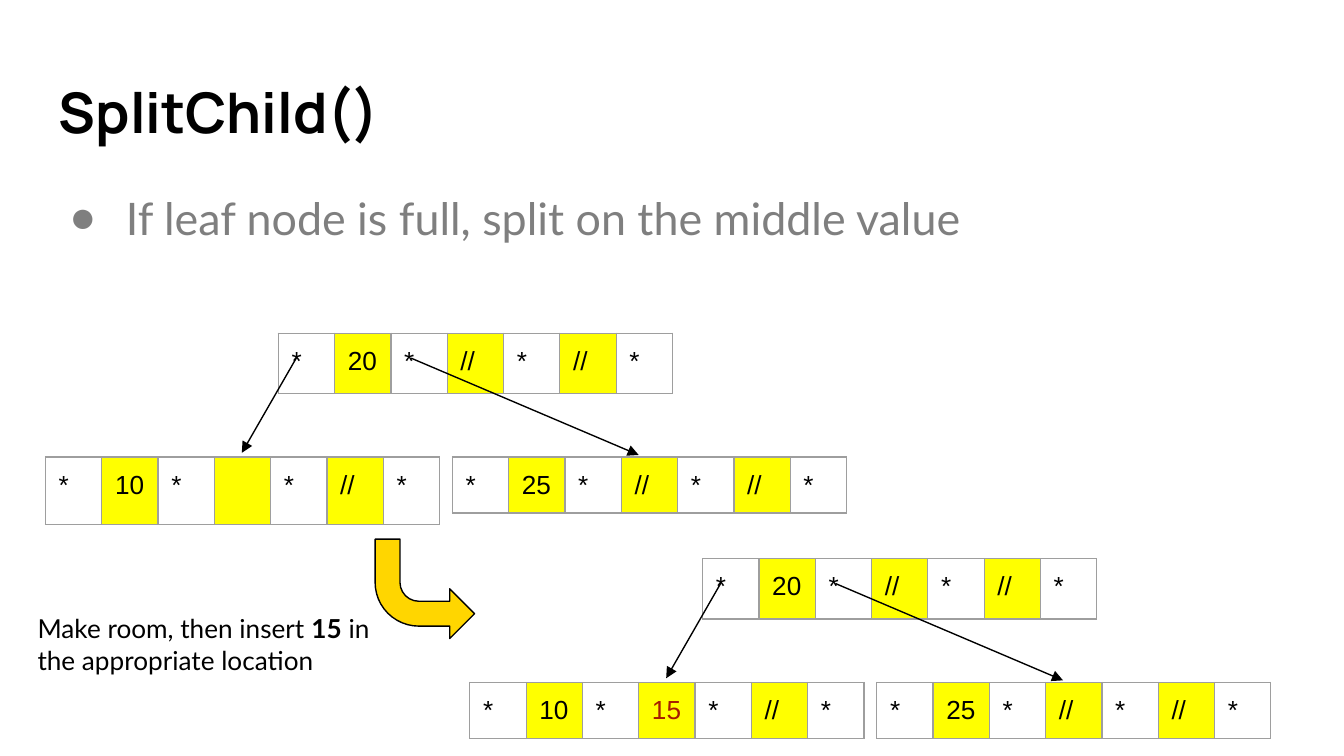
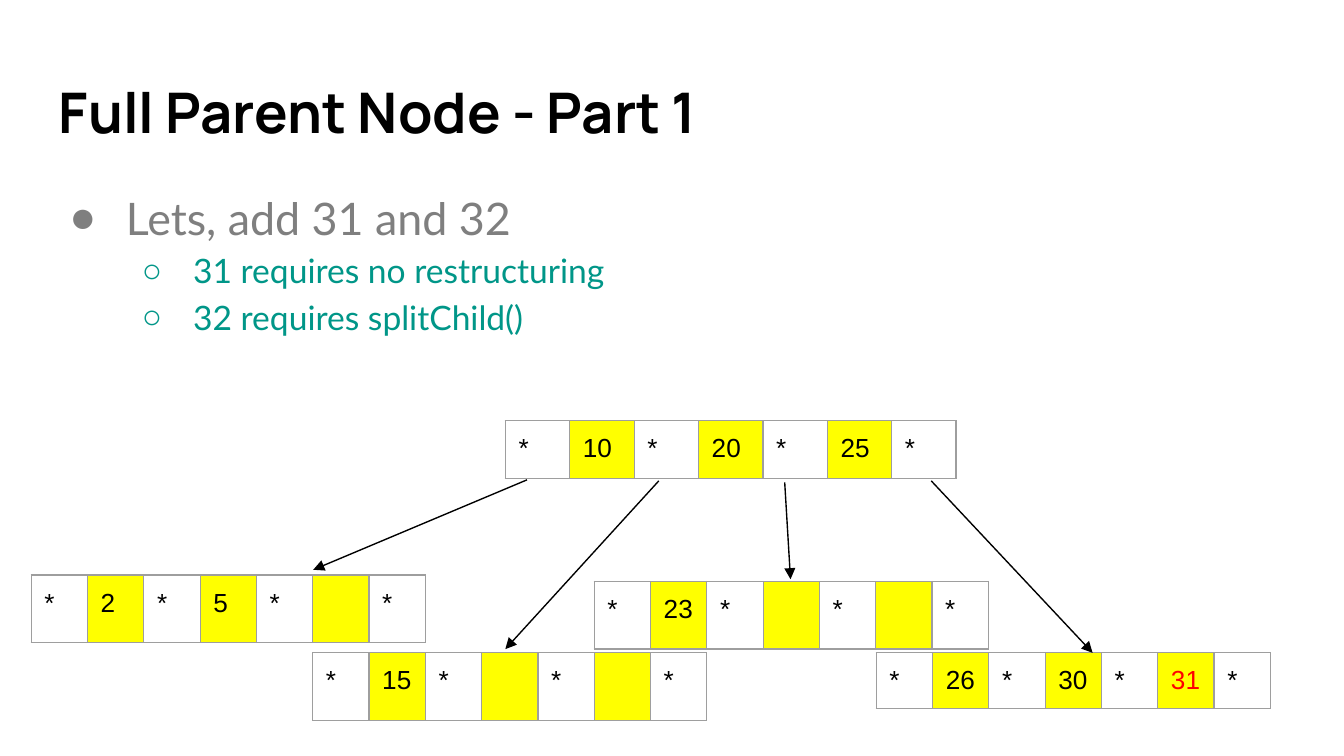
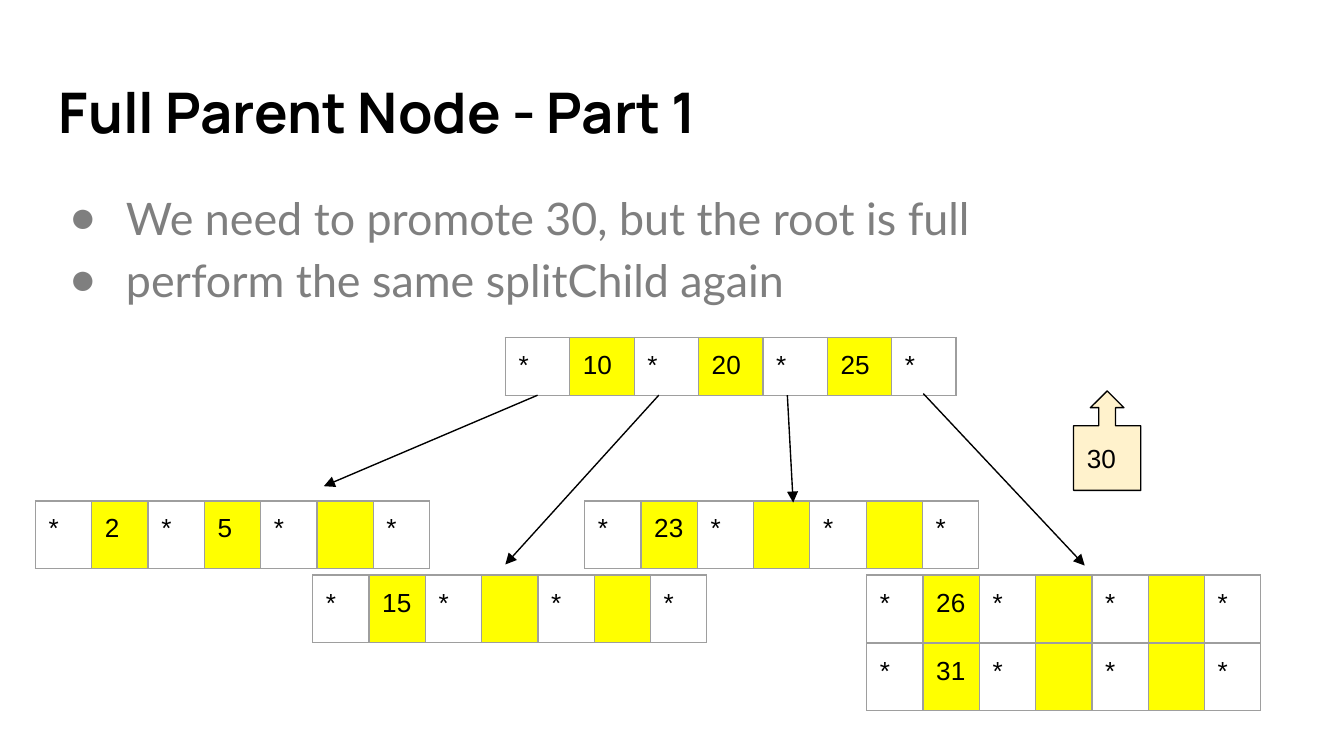
from lxml.etree import SubElement
from pptx import Presentation
from pptx.dml.color import RGBColor
from pptx.enum.shapes import MSO_CONNECTOR, MSO_SHAPE
from pptx.enum.text import MSO_ANCHOR, PP_ALIGN
from pptx.oxml.ns import qn
from pptx.util import Cm, Pt

BLACK = RGBColor(0x00, 0x00, 0x00)
GREY = RGBColor(0x7F, 0x7F, 0x7F)
TEAL = RGBColor(0x00, 0x96, 0x88)
BORDER = RGBColor(0x9E, 0x9E, 0x9E)
YELLOW = RGBColor(0xFF, 0xFF, 0x00)
GOLD = RGBColor(0xFF, 0xD6, 0x00)
CREAM = RGBColor(0xFF, 0xF2, 0xCC)
DARK_RED = RGBColor(0xA6, 0x1C, 0x00)
RED = RGBColor(0xFF, 0x00, 0x00)

TITLE_FONT = {"name": "Manrope", "size": Pt(30), "bold": True}
KEY_FONT = {"name": "Arial", "size": Pt(14), "bold": False}
NOTE_FONT = {"name": "Lato", "size": Pt(14)}
INSETS = {f"margin_{side}": Cm(0.25) for side in ("left", "right", "top", "bottom")}
THIN = Pt(0.75)

# Bullet, left margin, hanging indent, size and colour for each list level
LEVELS = [
    ("●", Cm(1.27), Cm(-1.07), Pt(24), GREY),
    ("○", Cm(2.54), Cm(-0.97), Pt(18), TEAL),
]
NODE_WIDTH = 7.45
LEAF_HEIGHT = 0.8
FULL_ROOT = ["10", "20", "25"]
FULL_ROOT_LEFT = 9.55
FULL_ROOT_WIDTH = 8.52


def set_format(target, values):
    for name, value in values.items():
        setattr(target, name, value)


def add_span(para, text, font, color=BLACK):
    span = para.add_run()
    span.text = text
    set_format(span.font, font)
    span.font.color.rgb = color
    return span


def place(box, left, top, width, height):
    set_format(box, {"left": Cm(left), "top": Cm(top),
                     "width": Cm(width), "height": Cm(height)})


def add_bullet(para, text, level):
    mark, margin, indent, size, color = LEVELS[level]
    set_format(para, {"level": level, "line_spacing": 1.15, "space_before": Pt(0),
                      "alignment": PP_ALIGN.LEFT})
    properties = para._p.get_or_add_pPr()
    properties.set("marL", str(margin))
    properties.set("indent", str(indent))
    bullet_color = SubElement(properties, qn("a:buClr"))
    SubElement(bullet_color, qn("a:srgbClr")).set("val", str(color))
    SubElement(properties, qn("a:buChar")).set("char", mark)
    add_span(para, text, {"name": "Lato", "size": size}, color)


def add_page(deck, title, bullets):
    """Add a slide with its title and a list of (text, level) bullets."""
    page = deck.slides.add_slide(deck.slide_layouts[1])
    heading, body = page.placeholders[0], page.placeholders[1]
    place(heading, 0.86, 1.24, 23.67, 1.73)
    place(body, 0.86, 3.2, 23.67, 4.52)
    for box, anchor in ((heading, MSO_ANCHOR.MIDDLE), (body, MSO_ANCHOR.TOP)):
        set_format(box.text_frame,
                   {**INSETS, "word_wrap": True, "vertical_anchor": anchor})
    title_para = heading.text_frame.paragraphs[0]
    title_para.alignment = PP_ALIGN.LEFT
    add_span(title_para, title, TITLE_FONT)
    frame = body.text_frame
    for index, (text, level) in enumerate(bullets):
        add_bullet(frame.add_paragraph() if index else frame.paragraphs[0], text, level)
    return page


def add_borders(cell):
    properties = cell._tc.get_or_add_tcPr()
    for side in ("lnL", "lnR", "lnT", "lnB"):
        line = SubElement(properties, qn(f"a:{side}"))
        line.set("w", str(THIN))
        fill = SubElement(line, qn("a:solidFill"))
        SubElement(fill, qn("a:srgbClr")).set("val", str(BORDER))


def add_node(page, left, top, keys, width=NODE_WIDTH, height=LEAF_HEIGHT, marked=None):
    """Draw a B-tree node: keys between child pointers; marked maps keys to colours."""
    entries = ["*"]
    for key in keys:
        entries += [key, "*"]
    table = page.shapes.add_table(1, len(entries), Cm(left), Cm(top),
                                  Cm(width), Cm(height)).table
    set_format(table, {"first_row": False, "horz_banding": False})
    for index, entry in enumerate(entries):
        table.columns[index].width = Cm(width / len(entries))
        cell = table.cell(0, index)
        set_format(cell, INSETS)
        add_borders(cell)
        if index % 2:
            cell.fill.solid()
            cell.fill.fore_color.rgb = YELLOW
        else:
            cell.fill.background()
        if entry:
            add_span(cell.text_frame.paragraphs[0], entry, KEY_FONT,
                     (marked or {}).get(entry, BLACK))


def add_arrow(page, start, end):
    arrow = page.shapes.add_connector(MSO_CONNECTOR.STRAIGHT,
                                      *(Cm(value) for value in (*start, *end)))
    arrow.line.color.rgb = BLACK
    arrow.line.width = THIN
    properties = arrow.element.spPr
    SubElement(properties.find(qn("a:ln")), qn("a:tailEnd")).set("type", "triangle")
    SubElement(properties, qn("a:effectLst"))


def add_outlined_shape(page, kind, area, fill, adjustments):
    shape = page.shapes.add_shape(kind, *(Cm(value) for value in area))
    shape.shadow.inherit = False
    shape.fill.solid()
    shape.fill.fore_color.rgb = fill
    shape.line.color.rgb = BLACK
    shape.line.width = THIN
    for index, value in enumerate(adjustments):
        shape.adjustments[index] = value
    return shape


def add_split_tree(page, left, top, second_key):
    """Draw a root with key 20 over its two leaves."""
    add_node(page, left + 4.4, top, ["20", "//", "//"], height=1.14)
    add_node(page, left, top + 2.34, ["10", second_key, "//"], marked={"15": DARK_RED})
    add_node(page, left + 7.69, top + 2.34, ["25", "//", "//"])
    add_arrow(page, (left + 4.75, top + 0.45), (left + 3.71, top + 2.26))
    add_arrow(page, (left + 6.91, top + 0.47), (left + 11.21, top + 2.3))


def add_full_tree(page, root_top, leaves, arrows, marked=None):
    add_node(page, FULL_ROOT_LEFT, root_top, FULL_ROOT, FULL_ROOT_WIDTH, 1.09)
    for left, top, keys in leaves:
        add_node(page, left, top, keys, marked=marked)
    for start, end in arrows:
        add_arrow(page, start, end)


def add_insert_note(page):
    box = page.shapes.add_textbox(Cm(0.46), Cm(11.33), Cm(7.01), Cm(1.57))
    set_format(box.text_frame, {**INSETS, "word_wrap": True})
    para = box.text_frame.paragraphs[0]
    add_span(para, "Make room, then insert ", NOTE_FONT)
    add_span(para, "15", {**NOTE_FONT, "bold": True})
    add_span(para, " in the appropriate location", NOTE_FONT)


def add_turn_arrow(page):
    arrow = add_outlined_shape(page, MSO_SHAPE.BENT_ARROW, (7.09, 10.19, 1.88, 1.88),
                               GOLD, (0.25, 0.25, 0.25, 0.44))
    arrow.rotation = 180
    arrow.element.spPr.get_or_add_xfrm().set("flipH", "1")


def add_promoted_key(page, key):
    callout = add_outlined_shape(page, MSO_SHAPE.UP_ARROW_CALLOUT,
                                 (20.29, 7.39, 1.27, 1.88), CREAM,
                                 (0.25, 0.25, 0.25, 0.65))
    set_format(callout.text_frame, {**INSETS, "vertical_anchor": MSO_ANCHOR.MIDDLE})
    para = callout.text_frame.paragraphs[0]
    para.alignment = PP_ALIGN.LEFT
    add_span(para, key, KEY_FONT)


def main():
    deck = Presentation()
    set_format(deck, {"slide_width": Cm(25.4), "slide_height": Cm(14.29)})

    page = add_page(deck, "SplitChild()",
                    [("If leaf node is full, split on the middle value", 0)])
    add_split_tree(page, 0.86, 6.3, "")
    add_split_tree(page, 8.88, 10.56, "15")
    add_insert_note(page)
    add_turn_arrow(page)

    page = add_page(deck, "Full Parent Node - Part 1",
                    [("Lets, add 31 and 32", 0),
                     ("31 requires no restructuring", 1),
                     ("32 requires splitChild()", 1)])
    add_full_tree(
        page, 7.95,
        [(0.59, 10.87, ["2", "5", ""]),
         (5.91, 12.34, ["15", "", ""]),
         (11.23, 10.99, ["23", "", ""]),
         (16.56, 12.34, ["26", "30", "31"])],
        [((9.96, 9.07), (5.92, 10.77)),
         ((12.45, 9.09), (9.55, 12.27)),
         ((14.83, 9.12), (14.94, 10.95)),
         ((17.6, 9.09), (20.65, 12.34))],
        marked={"31": RED})

    page = add_page(deck, "Full Parent Node - Part 1",
                    [("We need to promote 30, but the root is full", 0),
                     ("perform the same splitChild again", 0)])
    add_full_tree(
        page, 6.38,
        [(0.67, 9.47, ["2", "5", ""]),
         (5.91, 10.87, ["15", "", ""]),
         (11.05, 9.47, ["23", "", ""]),
         (16.38, 10.87, ["26", "", ""]),
         (16.38, 12.16, ["31", "", ""])],
        [((10.16, 7.47), (6.12, 9.19)),
         ((12.45, 7.47), (9.55, 10.67)),
         ((14.88, 7.47), (14.99, 9.5)),
         ((17.45, 7.44), (20.5, 10.69))])
    add_promoted_key(page, "30")

    deck.save("out.pptx")


if __name__ == "__main__":
    main()
